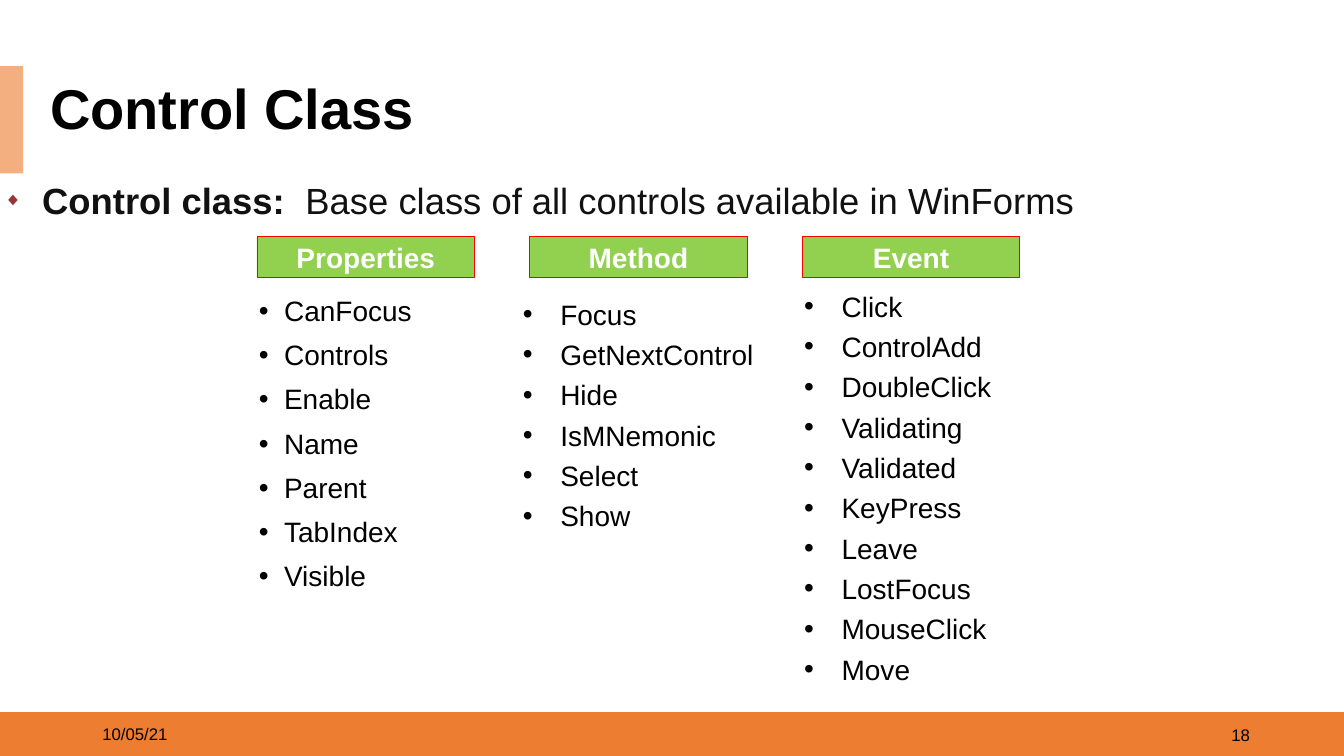
from lxml import etree
from pptx import Presentation
from pptx.dml.color import RGBColor
from pptx.enum.shapes import MSO_SHAPE
from pptx.enum.text import MSO_ANCHOR, PP_ALIGN
from pptx.oxml.ns import qn
from pptx.util import Pt

RECT = MSO_SHAPE.RECTANGLE
TOP, MIDDLE = MSO_ANCHOR.TOP, MSO_ANCHOR.MIDDLE
LEFT, CENTER, RIGHT, JUSTIFY = PP_ALIGN.LEFT, PP_ALIGN.CENTER, PP_ALIGN.RIGHT, PP_ALIGN.JUSTIFY

FONT = "Arial"
BLACK, WHITE, INK = "000000", "FFFFFF", "111111"
ORANGE, PEACH, GREEN, RED, MAROON = "ED7D31", "F4AF80", "92D050", "FF0000", "973735"

TITLE = "Control Class"
TERM, DEFINITION = "Control class:  ", "Base class of all controls available in WinForms"
DATE, PAGE = "10/05/21", "18"

COLUMNS = [
    {"head": "Properties", "box": (177.8, 208.8, 162, 220.3),
     "indent": 18, "spacing": 0.9, "before": 10,
     "items": ["CanFocus", "Controls", "Enable", "Name", "Parent", "TabIndex", "Visible"]},
    {"head": "Method", "box": (366.5, 208.8, 191.5, 177.1),
     "indent": 26.64, "spacing": 1, "before": 4.8,
     "items": ["Focus", "GetNextControl", "Hide", "IsMNemonic", "Select", "Show"]},
    {"head": "Event", "box": (567.4, 203, 191.5, 290.9),
     "indent": 26.64, "spacing": 1, "before": 4.8,
     "items": ["Click", "ControlAdd", "DoubleClick", "Validating", "Validated",
               "KeyPress", "Leave", "LostFocus", "MouseClick", "Move"]},
]
HEAD_LEFT, HEAD_TOP, HEAD_STEP, HEAD_W, HEAD_H = 183.6, 169.2, 194.7, 155.5, 28.8


def rgb(color):
    return RGBColor.from_string(color)


def add_rect(s, box, fill, line=None):
    sp = s.shapes.add_shape(RECT, *map(Pt, box))
    sp.shadow.inherit = False
    sp.fill.solid()
    sp.fill.fore_color.rgb = rgb(fill)
    if line:
        sp.line.color.rgb = rgb(line)
        sp.line.width = Pt(0.5)
    else:
        sp.line.fill.background()
    return sp


def style(p, size, color, bold=False):
    for r in p.runs:
        r.font.name = FONT
        r.font.size = Pt(size)
        r.font.bold = bold
        r.font.color.rgb = rgb(color)


def write(sp, lines, size, color=BLACK, bold=False, align=LEFT, anchor=TOP):
    tf = sp.text_frame
    tf.word_wrap = True
    tf.vertical_anchor = anchor
    tf.text = "\n".join(lines)
    for p in tf.paragraphs:
        p.alignment = align
        style(p, size, color, bold)
    return tf.paragraphs


def add_text(s, box, lines, size, **options):
    return write(s.shapes.add_textbox(*map(Pt, box)), lines, size, **options)


def add_bullet(p, indent, char="•", color=None, percent=None):
    pPr = p._p.get_or_add_pPr()
    pPr.set("marL", str(Pt(indent)))
    pPr.set("indent", str(-Pt(indent)))
    if color:
        clr = etree.SubElement(pPr, qn("a:buClr"))
        etree.SubElement(clr, qn("a:srgbClr"), val=color)
    if percent:
        etree.SubElement(pPr, qn("a:buSzPct"), val=str(percent * 1000))
    etree.SubElement(pPr, qn("a:buFont"), typeface=FONT)
    etree.SubElement(pPr, qn("a:buChar"), char=char)


prs = Presentation()
prs.slide_width, prs.slide_height = Pt(960), Pt(540)
s = prs.slides.add_slide(prs.slide_layouts[6])

add_rect(s, (0, 508.7, 960, 31.3), ORANGE)
add_rect(s, (0, 47.3, 16.6, 76.5), PEACH)
add_text(s, (66, 510, 216, 28.8), [DATE], 12, anchor=MIDDLE)
add_text(s, (684, 510.5, 216, 28.8), [PAGE], 12, align=RIGHT, anchor=MIDDLE)

title = add_rect(s, (28.8, 56.9, 611.3, 45.4), WHITE)
write(title, [TITLE], 40, bold=True, anchor=MIDDLE)[0].line_spacing = 0.9

for i, column in enumerate(COLUMNS):
    head = add_rect(s, (HEAD_LEFT + i * HEAD_STEP, HEAD_TOP, HEAD_W, HEAD_H), GREEN, RED)
    write(head, [column["head"]], 20, color=WHITE, bold=True, align=CENTER, anchor=MIDDLE)
    for n, p in enumerate(add_text(s, column["box"], column["items"], 20)):
        add_bullet(p, column["indent"])
        p.line_spacing = column["spacing"]
        p.space_before = Pt(column["before"] if n else 0)

p = add_text(s, (-4.3, 108, 787, 49), [TERM], 26, color=INK, bold=True, align=JUSTIFY)[0]
add_bullet(p, 27.36, "◆", MAROON, 50)
p.line_spacing = 1.5
p.space_after = Pt(6)
p.add_run().text = DEFINITION
style(p, 26, INK)
p.runs[0].font.bold = True

prs.save("out.pptx")
